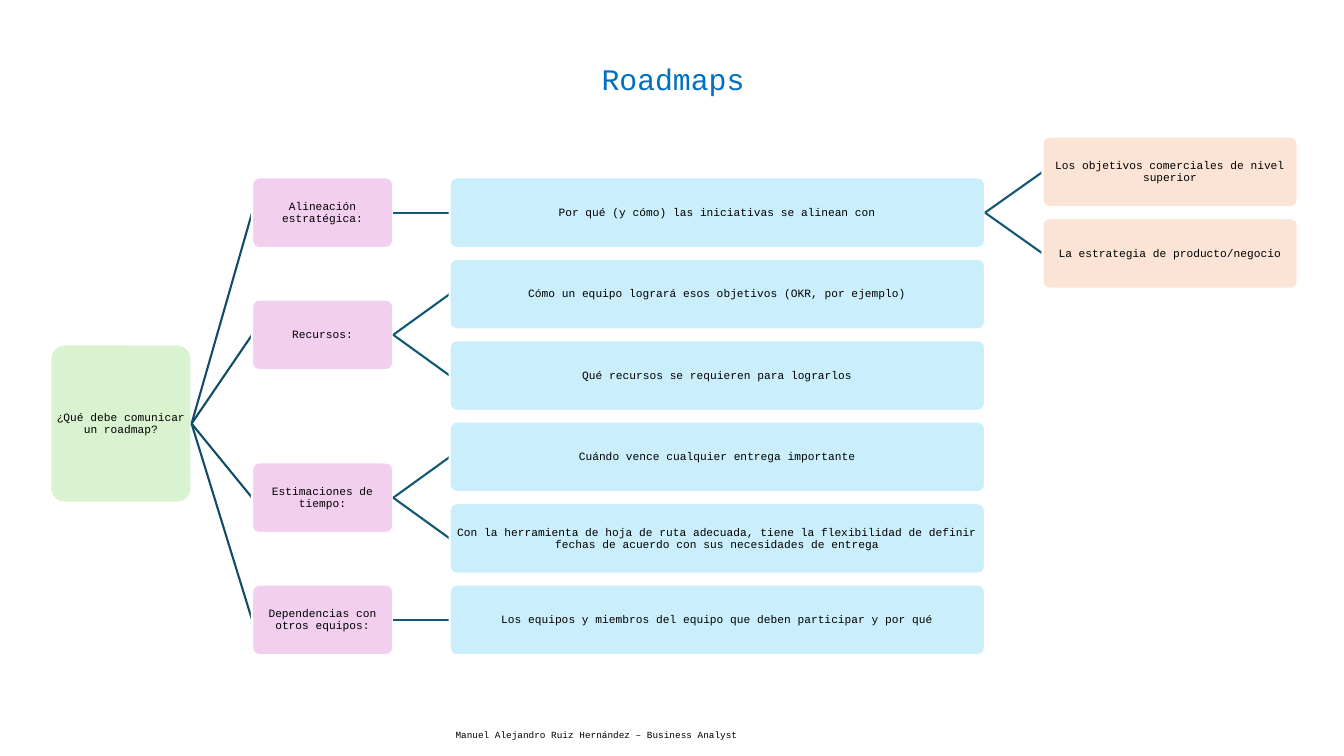
from lxml.etree import SubElement
from pptx import Presentation
from pptx.dml.color import RGBColor
from pptx.enum.shapes import MSO_CONNECTOR, MSO_SHAPE
from pptx.enum.text import MSO_ANCHOR, PP_ALIGN
from pptx.oxml.ns import qn
from pptx.util import Inches, Pt

WHITE = RGBColor(0xFF, 0xFF, 0xFF)
BLACK = RGBColor(0x00, 0x00, 0x00)
BLUE = RGBColor(0x00, 0x70, 0xC0)
GREEN = RGBColor(0xD9, 0xF2, 0xD0)
PINK = RGBColor(0xF2, 0xCF, 0xEE)
SKY = RGBColor(0xCA, 0xEE, 0xFB)
PEACH = RGBColor(0xFB, 0xE3, 0xD6)
DARK_TEAL = RGBColor(0x11, 0x4D, 0x68)
TEAL = RGBColor(0x13, 0x57, 0x76)
FONT = "Courier New"

# Tree columns: left and width relative to the tree, box height, fill
COLUMNS = [
    (0, 1.4, 1.57, GREEN),
    (2, 1.4, 0.7, PINK),
    (3.96, 5.31, 0.7, SKY),
    (9.84, 2.53, 0.7, PEACH),
]
LINKS = [DARK_TEAL, TEAL, TEAL]  # by depth of the parent
ROWS = 6

# Each node: text, row (counted in rows of the third column), children
TREE = ("¿Qué debe comunicar un roadmap?", 2.59, [
    ("Alineación estratégica:", 0, [
        ("Por qué (y cómo) las iniciativas se alinean con", 0, [
            ("Los objetivos comerciales de nivel superior", -0.5, []),
            ("La estrategia de producto/negocio", 0.5, []),
        ]),
    ]),
    ("Recursos:", 1.5, [
        ("Cómo un equipo logrará esos objetivos (OKR, por ejemplo)", 1, []),
        ("Qué recursos se requieren para lograrlos", 2, []),
    ]),
    ("Estimaciones de tiempo:", 3.5, [
        ("Cuándo vence cualquier entrega importante", 3, []),
        ("Con la herramienta de hoja de ruta adecuada, tiene la flexibilidad "
         "de definir fechas de acuerdo con sus necesidades de entrega", 4, []),
    ]),
    ("Dependencias con otros equipos:", 5, [
        ("Los equipos y miembros del equipo que deben participar y por qué", 5, []),
    ]),
])


def write(tf, text, size, color, align):
    tf.word_wrap = True
    p = tf.paragraphs[0]
    p.alignment = align
    r = p.add_run()
    r.text = text
    r.font.name, r.font.size, r.font.color.rgb = FONT, Pt(size), color
    return p


def set_margins(tf, side, top):
    tf.margin_left = tf.margin_right = Inches(side)
    tf.margin_top = tf.margin_bottom = Inches(top)


def add_title(s, box, text):
    tf = s.shapes.add_textbox(*map(Inches, box)).text_frame
    set_margins(tf, 0.13, 0.07)
    write(tf, text, 21.3, BLUE, PP_ALIGN.CENTER)


def add_footer(s, box, text):
    tf = s.shapes.add_textbox(*map(Inches, box)).text_frame
    tf.vertical_anchor = MSO_ANCHOR.MIDDLE
    write(tf, text, 6.7, BLACK, PP_ALIGN.LEFT)


def add_box(s, box, text, fill):
    sp = s.shapes.add_shape(MSO_SHAPE.ROUNDED_RECTANGLE, *map(Inches, box))
    sp.adjustments[0] = 0.1
    sp.shadow.inherit = False
    sp.fill.solid()
    sp.fill.fore_color.rgb = fill
    sp.line.color.rgb = WHITE
    sp.line.width = Pt(1.5)
    tf = sp.text_frame
    tf.vertical_anchor = MSO_ANCHOR.MIDDLE
    set_margins(tf, 0.01, 0.01)
    write(tf, text, 8, BLACK, PP_ALIGN.CENTER).line_spacing = 0.9
    return sp


def add_link(s, color):
    link = s.shapes.add_connector(MSO_CONNECTOR.STRAIGHT, 0, 0, 0, 0)
    link.line.color.rgb = color
    link.line.width = Pt(1.5)
    SubElement(link._element.spPr, qn("a:effectLst"))
    return link


def add_tree(s, box, node, depth=0):
    """Draw a node and its branches; each link lies under the child box."""
    left, top, _, height = box
    text, row, children = node
    x, w, h, fill = COLUMNS[depth]
    pitch = (height - 0.7) / (ROWS - 1)
    middle = top + 0.35 + row * pitch
    parent = add_box(s, (left + x, middle - h / 2, w, h), text, fill)
    for child in children:
        link = add_link(s, LINKS[depth])
        target = add_tree(s, box, child, depth + 1)
        link.begin_connect(parent, 3)
        link.end_connect(target, 1)
    return parent


def main():
    prs = Presentation()
    prs.slide_width, prs.slide_height = Inches(13.33), Inches(7.5)
    s = prs.slides.add_slide(prs.slide_layouts[6])
    add_title(s, (1.13, 0.53, 11.09, 0.49), "Roadmaps")
    add_footer(s, (4.42, 7.09, 4.5, 0.4),
               "Manuel Alejandro Ruiz Hernández – Business Analyst")
    add_tree(s, (0.5, 1.76, 12.37, 4.74), TREE)
    prs.save("out.pptx")


if __name__ == "__main__":
    main()
